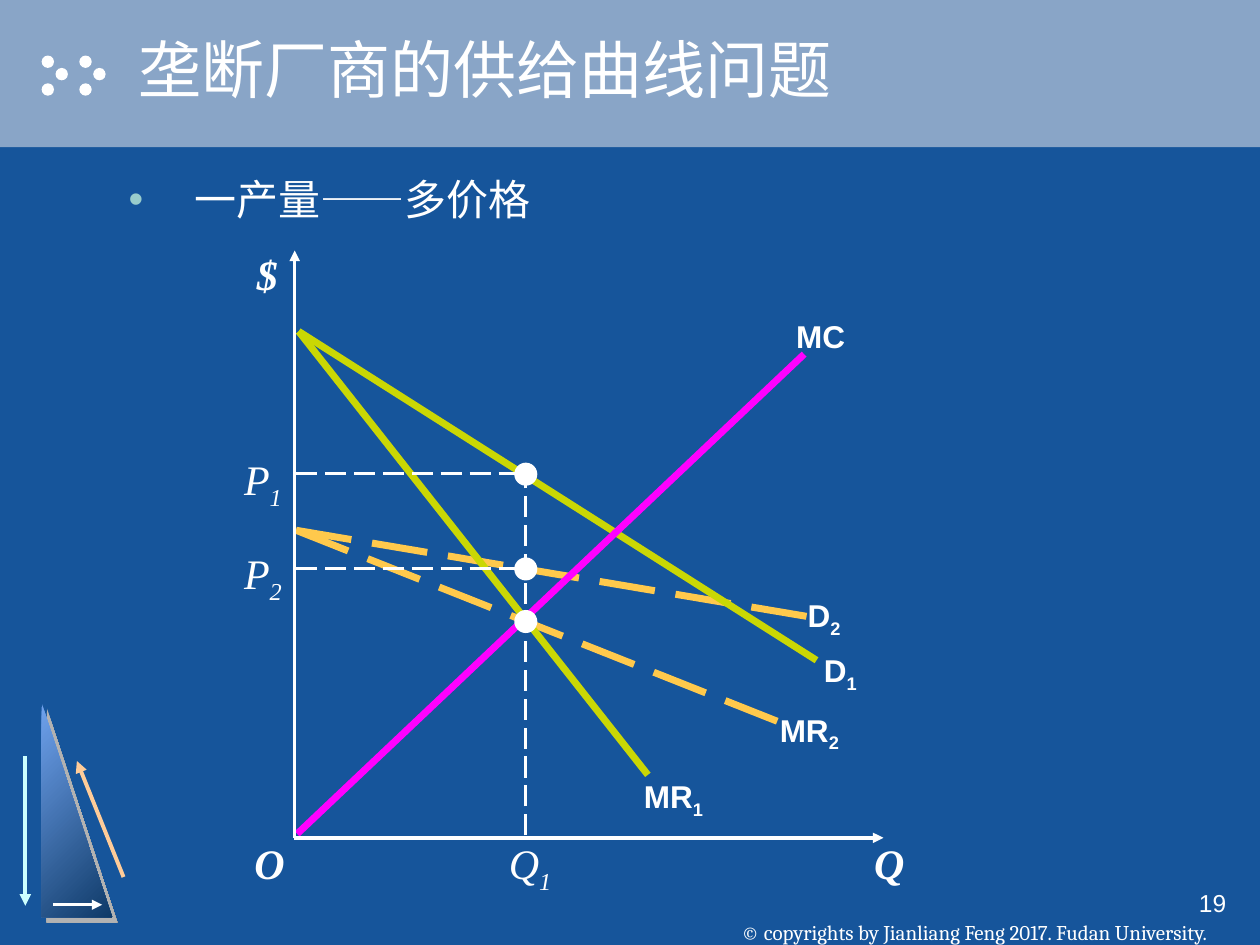
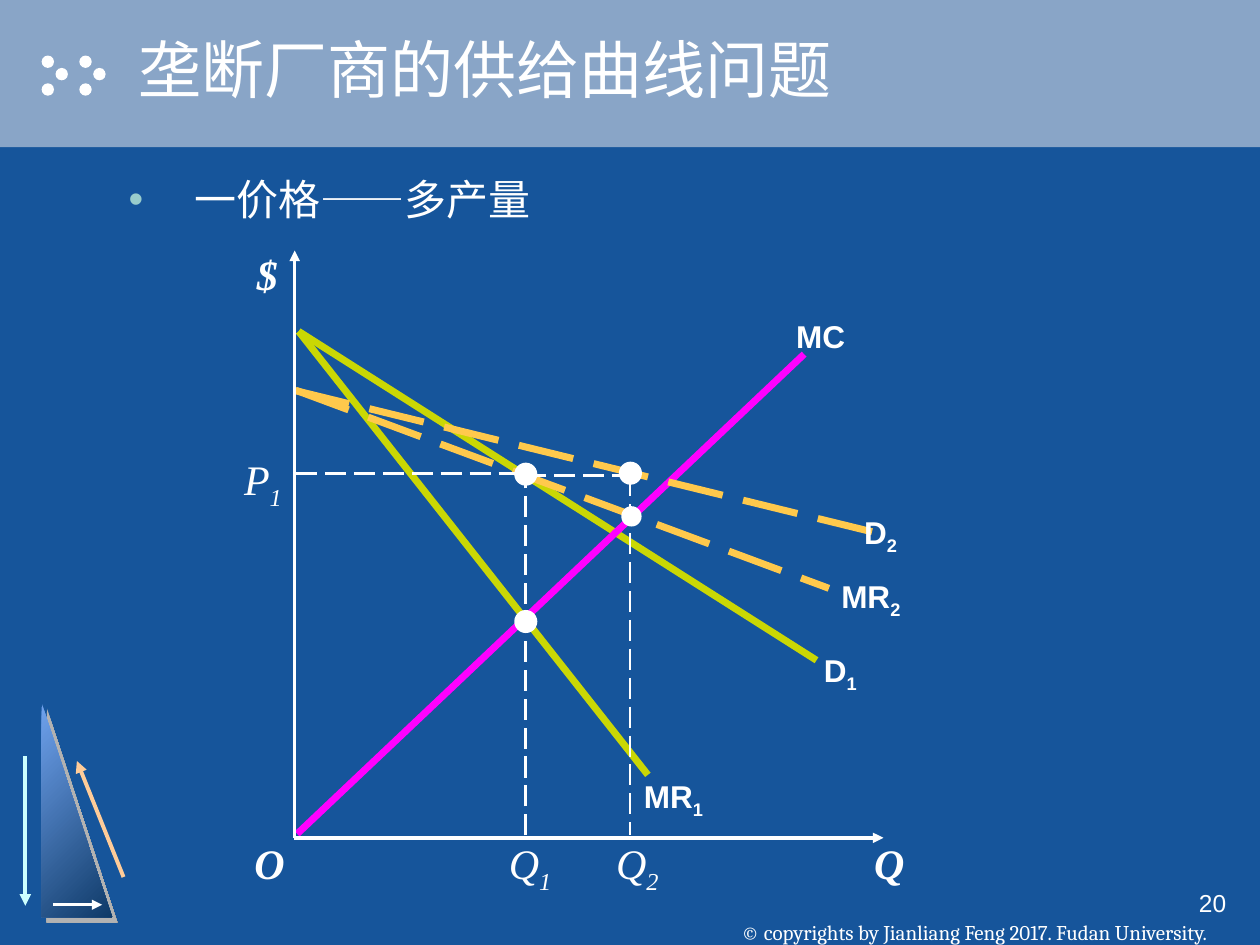
"""Build two slides on the supply curve problem of a monopolist."""
from lxml import etree
from pptx import Presentation
from pptx.dml.color import RGBColor
from pptx.enum.dml import MSO_LINE
from pptx.enum.shapes import MSO_CONNECTOR, MSO_SHAPE
from pptx.enum.text import MSO_ANCHOR, MSO_AUTO_SIZE, PP_ALIGN
from pptx.oxml.ns import qn
from pptx.util import Cm, Pt

BLUE = RGBColor(0x16, 0x55, 0x9B)
BAND = RGBColor(0x89, 0xA5, 0xC7)
WHITE = RGBColor(0xFF, 0xFF, 0xFF)
LIGHT_BLUE = RGBColor(0x6F, 0xA2, 0xED)
NAVY = RGBColor(0x0F, 0x3A, 0x68)
AQUA = RGBColor(0xCC, 0xFF, 0xFF)
PEACH = RGBColor(0xFF, 0xCC, 0x99)
BULLET = RGBColor(0x99, 0xCC, 0xCC)
GREY = RGBColor(0xB2, 0xB2, 0xB2)
BLACK = RGBColor(0, 0, 0)
ORANGE = RGBColor(0xFF, 0xC9, 0x4C)
LIME = RGBColor(0xCA, 0xD7, 0x04)
MAGENTA = RGBColor(0xFF, 0x00, 0xFF)

TITLE = {"name": "Arial", "size": Pt(36)}
LIST = {"name": "Times New Roman", "size": Pt(24)}
COPYRIGHT = {"name": "Cambria", "size": Pt(12)}
NUMBER = {"name": "Arial", "size": Pt(14)}
CURVE = {"name": "Arial", "size": Pt(18), "bold": True}
VALUE = {"name": "Times New Roman", "size": Pt(24), "italic": True}
AXIS = {**VALUE, "bold": True}

DEMAND_1 = (6.02, 6.68, 16.46, 13.31, LIME)
REVENUE_1 = (6.02, 6.68, 13.06, 15.62, LIME)
COST = (5.99, 16.81, 16.21, 7.14, MAGENTA)
AXES = [(5.94, 16.89, 5.94, 5.05), (5.92, 16.89, 17.81, 16.89)]
PRICE_1 = (5.97, 9.55, 10.57, 9.55)
QUANTITY_1 = (10.59, 16.84, 10.59, 9.7)
DOTS = [(10.6, 12.53, 0.43, True), (10.6, 9.56, 0.43, True)]
LABELS = [
    ("D", "1", 16.36, 13, 1.17, CURVE),
    ("MR", "1", 12.73, 15.54, 1.7, CURVE),
    ("MC", "", 15.8, 6.27, 1.5, CURVE),
    ("P", "1", 4.67, 9.02, 1.27, VALUE),
    ("Q", "1", 10.01, 16.76, 1.37, VALUE),
    ("Q", "", 17.37, 16.76, 1.12, AXIS),
    ("$", "", 4.93, 4.88, 0.91, AXIS),
    ("O", "", 4.88, 16.76, 1.12, AXIS),
]
SLIDES = [
    {
        "number": "19",
        "point": "一产量——多价格",
        "curves": [(5.97, 10.69, 16.41, 12.45, ORANGE), (5.97, 10.69, 15.77, 14.58, ORANGE),
                   DEMAND_1, REVENUE_1, COST],
        "guides": [(5.97, 11.46, 10.57, 11.46)],
        "dots": [(10.6, 11.47, 0.43, True)],
        "labels": [("D", "2", 16.03, 11.89, 1.17, CURVE), ("MR", "2", 15.47, 14.2, 1.7, CURVE),
                   ("P", "2", 4.67, 10.92, 1.27, VALUE)],
    },
    {
        "number": "20",
        "point": "一价格——多产量",
        "curves": [DEMAND_1, REVENUE_1, COST,
                   (5.97, 7.87, 16.71, 11.86, ORANGE), (5.94, 7.87, 17.58, 10.72, ORANGE)],
        "guides": [(12.7, 9.58, 12.7, 16.84), (10.59, 9.58, 12.67, 9.58)],
        "dots": [(12.71, 9.54, 0.43, True), (12.73, 10.41, 0.41, False)],
        "labels": [("MR", "2", 16.71, 11.51, 1.7, CURVE), ("D", "2", 17.17, 10.21, 1.17, CURVE),
                   ("Q", "2", 12.17, 16.76, 1.37, VALUE)],
    },
]


def draw_line(page, ends, color, width, dashed=False, arrow=False):
    line = page.shapes.add_connector(MSO_CONNECTOR.STRAIGHT, *[Cm(value) for value in ends])
    line.line.color.rgb = color
    line.line.width = Pt(width)
    if dashed:
        line.line.dash_style = MSO_LINE.LONG_DASH
    if arrow:
        etree.SubElement(line.line._ln, qn("a:tailEnd"), type="triangle")
    etree.SubElement(line._element.spPr, qn("a:effectLst"))


def write(box, place, text, style, **frame_format):
    box.left, box.top, box.width, box.height = [Cm(value) for value in place]
    for name, value in frame_format.items():
        setattr(box.text_frame, name, value)
    para = box.text_frame.paragraphs[0]
    span = para.add_run()
    span.text = text
    for name, value in style.items():
        setattr(span.font, name, value)
    span.font.color.rgb = WHITE
    return para


deck = Presentation()
deck.slide_width, deck.slide_height = Cm(25.4), Cm(19.05)
background = deck.slide_master.background.fill
background.solid()
background.fore_color.rgb = BLUE

for content in SLIDES:
    page = deck.slides.add_slide(deck.slide_layouts[1])
    title, body = page.placeholders

    ornaments = [(MSO_SHAPE.RECTANGLE, (0, 0, 25.4, 2.97), BAND)]
    for left in (0.84, 1.6):
        for shift, top in ((0, 1.12), (0.28, 1.37), (0, 1.68)):
            ornaments.append((MSO_SHAPE.OVAL, (left + shift, top, 0.25, 0.25), WHITE))
    ornaments.append((MSO_SHAPE.RIGHT_TRIANGLE, (0.84, 14.17, 1.42, 4.32), NAVY))
    for kind, place, color in ornaments:
        ornament = page.shapes.add_shape(kind, *[Cm(value) for value in place])
        ornament.shadow.inherit = False
        ornament.fill.solid()
        ornament.fill.fore_color.rgb = color
        ornament.line.fill.background()
    triangle = ornament
    triangle.fill.gradient()
    triangle.fill.gradient_angle = 315
    for stop, color in zip(triangle.fill.gradient_stops, (LIGHT_BLUE, NAVY)):
        stop.color.rgb = color
    effects = triangle._element.spPr.find(qn("a:effectLst"))
    shadow = etree.SubElement(effects, qn("a:outerShdw"), dist=str(Pt(4.2)), dir="2700000")
    etree.SubElement(shadow, qn("a:srgbClr"), val=str(GREY))

    draw_line(page, (0.51, 15.24, 0.51, 18.26), AQUA, 2.25, arrow=True)
    draw_line(page, (2.49, 17.68, 1.55, 15.34), PEACH, 2.25, arrow=True)
    draw_line(page, (1.07, 18.24, 2.06, 18.24), WHITE, 1.5, arrow=True)

    footer = page.shapes.add_textbox(0, 0, 0, 0)
    para = write(footer, (13.83, 17.78, 11.63, 1.27),
                 "© copyrights by Jianliang Feng 2017. Fudan University.", COPYRIGHT,
                 word_wrap=False, vertical_anchor=MSO_ANCHOR.BOTTOM, margin_top=0, margin_bottom=0)
    para.alignment = PP_ALIGN.CENTER
    number = page.shapes.add_textbox(0, 0, 0, 0)
    para = write(number, (19.69, 17.78, 5.28, 1.27), content["number"], NUMBER, word_wrap=True)
    para.alignment = PP_ALIGN.RIGHT

    para = write(title, (2.54, 0, 22.86, 2.74), "垄断厂商的供给曲线问题", TITLE,
                 vertical_anchor=MSO_ANCHOR.MIDDLE, auto_size=MSO_AUTO_SIZE.NONE)
    para.alignment = PP_ALIGN.LEFT
    effects = etree.Element(qn("a:effectLst"))
    shadow = etree.SubElement(effects, qn("a:outerShdw"), dist=str(Pt(2)), dir="2700000")
    etree.SubElement(shadow, qn("a:srgbClr"), val=str(BLACK))
    para.runs[0]._r.rPr.find(qn("a:solidFill")).addnext(effects)

    para = write(body, (2.34, 3.38, 20.75, 12.7), content["point"], LIST,
                 auto_size=MSO_AUTO_SIZE.NONE)
    para.space_before = Pt(0)
    properties = para._p.get_or_add_pPr()
    properties.set("marL", str(Cm(1.32)))
    properties.set("indent", str(Cm(-1.32)))
    bullet_color = etree.SubElement(properties, qn("a:buClr"))
    etree.SubElement(bullet_color, qn("a:srgbClr"), val=str(BULLET))
    etree.SubElement(properties, qn("a:buChar"), char="•")
    for placeholder in (title, body):
        page.shapes._spTree.append(placeholder._element)

    for *ends, color in content["curves"]:
        draw_line(page, ends, color, 4, dashed=color == ORANGE)
    for ends in AXES:
        draw_line(page, ends, WHITE, 2, arrow=True)
    for ends in [PRICE_1, QUANTITY_1] + content["guides"]:
        draw_line(page, ends, WHITE, 1.5, dashed=True)

    for center, middle, size, outlined in DOTS + content["dots"]:
        dot = page.shapes.add_shape(MSO_SHAPE.OVAL, Cm(center - size / 2), Cm(middle - size / 2),
                                    Cm(size), Cm(size))
        dot.shadow.inherit = False
        dot.fill.solid()
        dot.fill.fore_color.rgb = WHITE
        if outlined:
            dot.line.color.rgb = WHITE
            dot.line.width = Pt(1)
        else:
            dot.line.fill.background()

    for text, subscript, left, top, width, style in LABELS + content["labels"]:
        label = page.shapes.add_textbox(0, 0, 0, 0)
        para = write(label, (left, top, width, 1.12 if style is CURVE else 1.27), text, style,
                     word_wrap=False, auto_size=MSO_AUTO_SIZE.SHAPE_TO_FIT_TEXT)
        if text == "$":
            para.alignment = PP_ALIGN.RIGHT
        if subscript:
            write(label, (left, top, width, 1.12 if style is CURVE else 1.4), subscript, style)
            para.runs[1]._r.rPr.set("baseline", "-25000")

deck.save("out.pptx")
